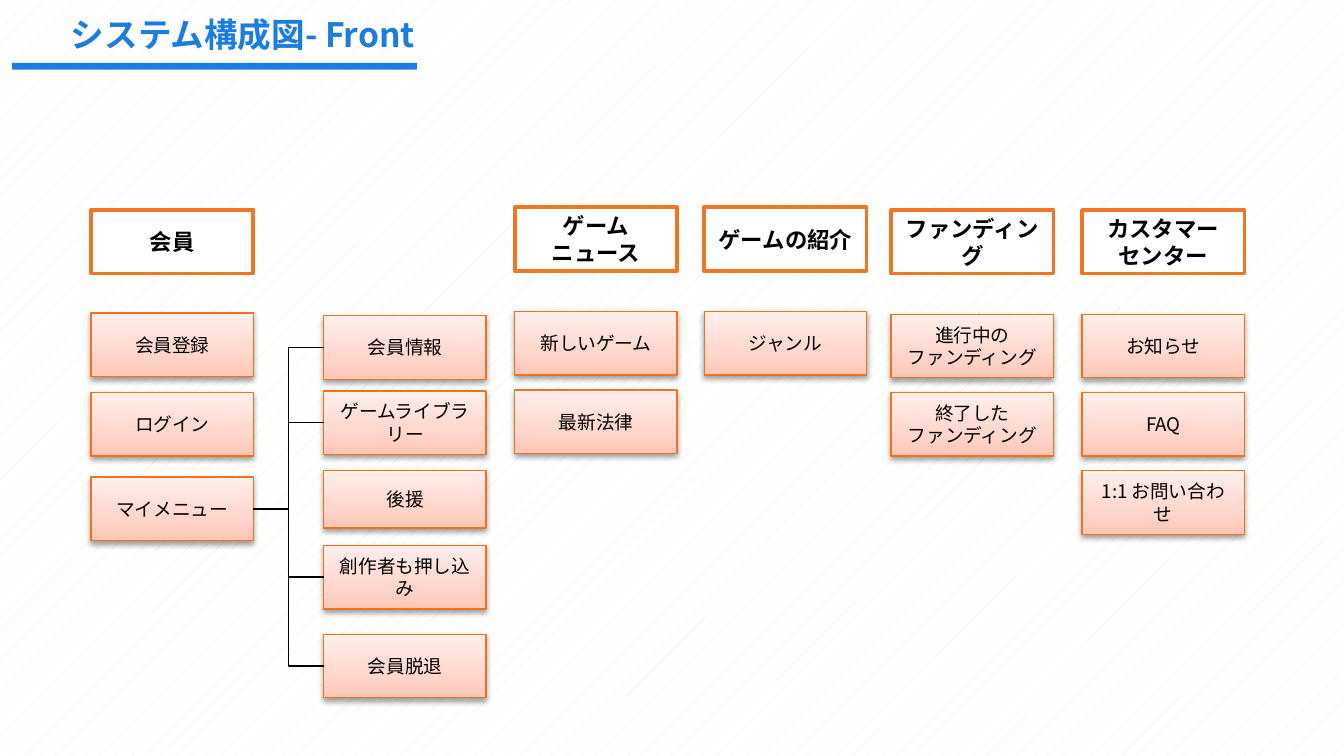
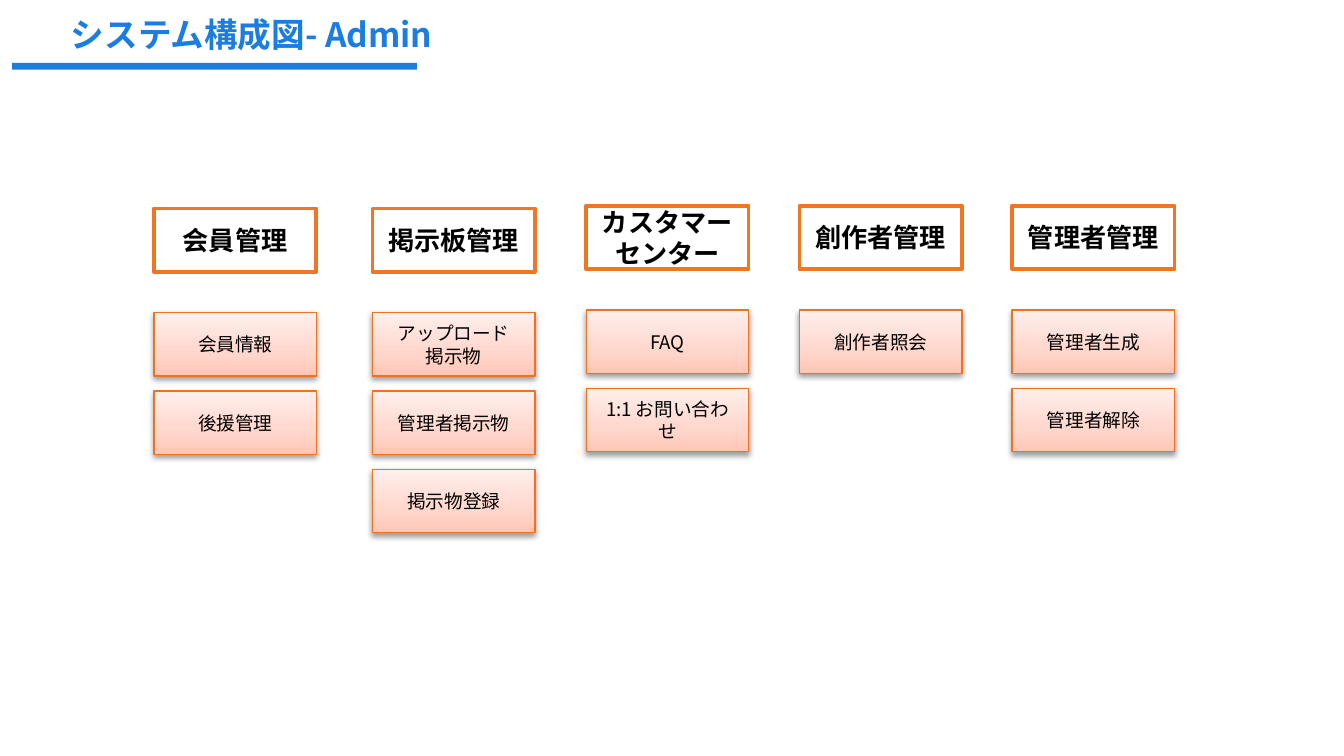
import pptx
import pptx.dml.color
import pptx.enum.dml
import pptx.enum.shapes
import pptx.enum.text
import pptx.oxml
import pptx.oxml.ns
import pptx.util
from lxml import etree

FONT = "Noto Sans CJK JP"
BLUE, ORANGE, DEEP_ORANGE = "1C7DE1", "F07624", "F0721E"
BLACK, WHITE, IVORY = "000000", "FFFFFF", "EEECE1"
GRADIENT = [(0, "FFC6B6"), (35, "FFD6CC"), (100, "FFEFEC")]

FRONT_TITLE = "システム構成図- Front"
FRONT_COLUMNS = [
    (9.73, 3.92, "ゲーム\nニュース", ["新しいゲーム", "最新法律"]),
    (13.31, 3.92, "ゲームの紹介", ["ジャンル"]),
    (16.84, 3.97, "ファンディング", ["進行中の\nファンディング", "終了した\nファンディング"]),
    (20.45, 3.97, "カスタマー\nセンター", ["お知らせ", "FAQ", "1:1 お問い合わせ"]),
]
MEMBER_LEFT, MEMBER_TOP, MEMBER_HEADER = 1.72, 3.97, "会員"
MEMBER_ITEMS = [("会員登録", 5.92), ("ログイン", 7.42), ("マイメニュー", 9.02)]
MY_MENU_LEFT = 6.12
MY_MENU_ITEMS = [
    ("会員情報", 5.97, 1.2),
    ("ゲームライブラリー", 7.39, 1.2),
    ("後援", 8.89, 1.09),
    ("創作者も押し込み", 10.31, 1.2),
    ("会員脱退", 11.99, 1.2),
]

ADMIN_TITLE = "システム構成図- Admin"
ADMIN_COLUMNS = [
    (2.91, 3.94, "会員管理", ["会員情報", "後援管理"]),
    (7.04, 3.94, "掲示板管理", ["アップロード\n掲示物", "管理者掲示物", "掲示物登録"]),
    (11.08, 3.89, "カスタマー\nセンター", ["FAQ", "1:1 お問い合わせ"]),
    (15.11, 3.89, "創作者管理", ["創作者照会"]),
    (19.13, 3.89, "管理者管理", ["管理者生成", "管理者解除"]),
]

BOX_WIDTH, BOX_HEIGHT = 3.07, 1.2
FIRST_ITEM_OFFSET, ITEM_STEP = 1.97, 1.48

Cm = pptx.util.Cm
NAMESPACE = pptx.oxml.ns.nsdecls("a")


def color(value):
    return pptx.dml.color.RGBColor.from_string(value)


def write(shape, text, size, text_color, bold=False, align=None):
    frame = shape.text_frame
    frame.word_wrap = True
    frame.text = text
    for paragraph in frame.paragraphs:
        paragraph.alignment = align
        for run in paragraph.runs:
            run.font.size = pptx.util.Pt(size)
            run.font.bold = bold
            run.font.color.rgb = color(text_color)
            run.font.name = FONT
            east_asian = etree.SubElement(run.font._element, pptx.oxml.ns.qn("a:ea"))
            east_asian.set("typeface", FONT)


def add_rectangle(slide, left, top, width, height):
    shape = slide.shapes.add_shape(
        pptx.enum.shapes.MSO_SHAPE.RECTANGLE, Cm(left), Cm(top), Cm(width), Cm(height))
    shape.shadow.inherit = False
    return shape


def add_box(slide, left, top, height, text, size, line_color, line_width, bold=False):
    shape = add_rectangle(slide, left, top, BOX_WIDTH, height)
    shape.fill.solid()
    shape.fill.fore_color.rgb = color(WHITE)
    shape.line.color.rgb = color(line_color)
    shape.line.width = pptx.util.Pt(line_width)
    shape.text_frame.vertical_anchor = pptx.enum.text.MSO_ANCHOR.MIDDLE
    write(shape, text, size, BLACK, bold, pptx.enum.text.PP_ALIGN.CENTER)
    return shape


def add_header(slide, left, top, text, size):
    return add_box(slide, left, top, BOX_HEIGHT, text, size, ORANGE, 2, True)


def add_item(slide, left, top, text, height=BOX_HEIGHT):
    shape = add_box(slide, left, top, height, text, 10, DEEP_ORANGE, 0.75)
    properties = shape._element.spPr
    stops = "".join(
        f'<a:gs pos="{position * 1000}"><a:srgbClr val="{value}"/></a:gs>'
        for position, value in GRADIENT)
    gradient = pptx.oxml.parse_xml(
        f'<a:gradFill {NAMESPACE} rotWithShape="1"><a:gsLst>{stops}</a:gsLst>'
        '<a:lin ang="16200000" scaled="0"/></a:gradFill>')
    properties.replace(properties.find(pptx.oxml.ns.qn("a:solidFill")), gradient)
    effects = properties.find(pptx.oxml.ns.qn("a:effectLst"))
    effects.append(pptx.oxml.parse_xml(
        f'<a:outerShdw {NAMESPACE} blurRad="40000" dist="20000" dir="5400000" rotWithShape="0">'
        f'<a:srgbClr val="{BLACK}"><a:alpha val="38000"/></a:srgbClr></a:outerShdw>'))
    return shape


def add_columns(slide, columns, header_size):
    for left, top, header, items in columns:
        add_header(slide, left, top, header, header_size)
        for index, item in enumerate(items):
            add_item(slide, left, top + FIRST_ITEM_OFFSET + index * ITEM_STEP, item)


def add_branch(slide, box, kind, end_left, end_top):
    connector = slide.shapes.add_connector(
        kind, box.left, box.top + box.height // 2, end_left, end_top)
    connector.begin_connect(box, 1)
    connector.line.color.rgb = color(BLACK)
    connector.line.width = pptx.util.Pt(0.75)
    etree.SubElement(connector._element.spPr, pptx.oxml.ns.qn("a:effectLst"))
    return connector


def add_member_tree(slide):
    add_header(slide, MEMBER_LEFT, MEMBER_TOP, MEMBER_HEADER, 12)
    members = [add_item(slide, MEMBER_LEFT, top, text) for text, top in MEMBER_ITEMS]
    menu = [add_item(slide, MY_MENU_LEFT, top, text, height)
            for text, top, height in MY_MENU_ITEMS]
    my_menu = members[-1]
    right = my_menu.left + my_menu.width
    middle = my_menu.top + my_menu.height // 2
    trunk = (right + menu[0].left) // 2
    kinds = pptx.enum.shapes.MSO_CONNECTOR

    first = add_branch(slide, menu[0], kinds.ELBOW, right, middle)
    first.end_connect(my_menu, 3)
    for box in (menu[1], menu[3]):
        add_branch(slide, box, kinds.STRAIGHT, trunk, box.top + box.height // 2)
    last = add_branch(slide, menu[-1], kinds.ELBOW, trunk, middle)
    last._element.spPr.find(pptx.oxml.ns.qn("a:prstGeom")).set("prst", "bentConnector2")


def add_title(slide, text):
    band = add_rectangle(slide, 0.23, 1.19, 7.65, 0.13)
    band.fill.solid()
    band.fill.fore_color.rgb = color(BLUE)
    band.line.fill.background()
    title = slide.shapes.add_textbox(Cm(1.09), Cm(0.13), Cm(7.62), Cm(1.02))
    write(title, text, 18, BLUE, True)
    title.text_frame.auto_size = pptx.enum.text.MSO_AUTO_SIZE.SHAPE_TO_FIT_TEXT


def build_front(slide):
    fill = slide.background.fill
    fill.patterned()
    fill.pattern = pptx.enum.dml.MSO_PATTERN.PERCENT_10
    fill.fore_color.rgb = color(IVORY)
    fill.back_color.rgb = color(WHITE)
    add_member_tree(slide)
    add_columns(slide, FRONT_COLUMNS, 12)
    add_title(slide, FRONT_TITLE)


def build_admin(slide):
    slide.background.fill.solid()
    slide.background.fill.fore_color.rgb = color(WHITE)
    add_columns(slide, ADMIN_COLUMNS, 14)
    add_title(slide, ADMIN_TITLE)


def main():
    presentation = pptx.Presentation()
    presentation.slide_width, presentation.slide_height = Cm(25.4), Cm(14.29)
    blank = presentation.slide_layouts[6]
    for build in (build_front, build_admin):
        build(presentation.slides.add_slide(blank))
    presentation.save("out.pptx")


if __name__ == "__main__":
    main()
